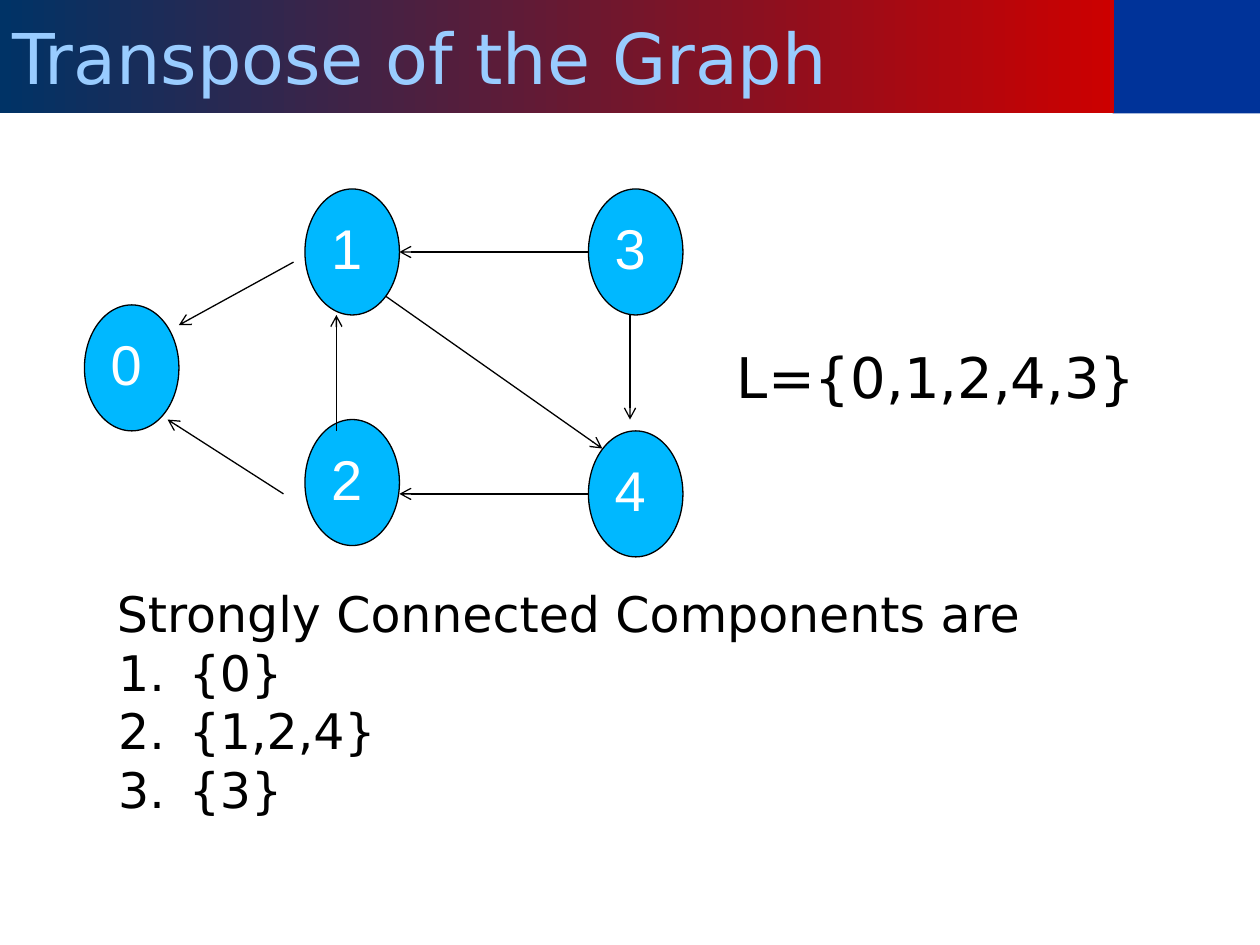
from lxml.etree import SubElement
from pptx import Presentation
from pptx.dml.color import RGBColor
from pptx.enum.shapes import MSO_CONNECTOR as Connector, MSO_SHAPE as Shape
from pptx.enum.text import MSO_ANCHOR as Anchor, MSO_AUTO_SIZE as AutoSize, PP_ALIGN as Align
from pptx.oxml.ns import qn
from pptx.util import Inches, Pt

COLORS = {
    "banner_start": "003366",
    "banner_end": "CC0000",
    "corner": "003399",
    "title": "99CCFF",
    "node": "00B8FF",
    "digit": "FFFFFF",
    "ink": "000000",
}
NODES = {"4": (4.67, 3.42), "3": (4.67, 1.5), "2": (2.42, 3.33), "1": (2.42, 1.5), "0": (0.67, 2.42)}
EDGES = [
    ((5, 2.5), (5, 3.33)),
    ((4.67, 2), (3.17, 2)),
    ((2.67, 3.42), (2.67, 2.5)),
    ((4.67, 3.92), (3.17, 3.92)),
    ((2.33, 2.08), (1.42, 2.58)),
    ((2.25, 3.92), (1.33, 3.33)),
    ((3.06, 2.35), (4.78, 3.56)),
]
COMPONENTS = ["{0}", "{1,2,4}", "{3}"]


class GraphSlide:
    """Draws the parts of a graph slide in one shared style."""

    def __init__(self, slide, heading_font="DejaVu Sans", node_font="Arial"):
        self.slide = slide
        self.heading_font = heading_font
        self.node_font = node_font

    def color(self, key):
        return RGBColor.from_string(COLORS[key])

    def set_text(self, paragraph, text, size, font, color):
        paragraph.text = text
        paragraph.alignment = Align.LEFT
        paragraph.font.size = Pt(size)
        paragraph.font.name = font
        paragraph.font.color.rgb = self.color(color)

    def shape(self, kind, box, fill=None):
        part = self.slide.shapes.add_shape(kind, *map(Inches, box))
        part.shadow.inherit = False
        part.line.fill.background()
        if fill:
            part.fill.solid()
            part.fill.fore_color.rgb = self.color(fill)
        return part

    def banner(self, title):
        self.shape(Shape.RECTANGLE, (8.83, 0, 1.17, 0.9), "corner")
        banner = self.shape(Shape.RECTANGLE, (0, 0, 8.84, 0.9))
        banner.fill.gradient()
        banner.fill.gradient_angle = 0
        for stop, key in zip(banner.fill.gradient_stops, ("banner_start", "banner_end")):
            stop.color.rgb = self.color(key)
        banner.text_frame.vertical_anchor = Anchor.MIDDLE
        self.set_text(banner.text_frame.paragraphs[0], title, 40, self.heading_font, "title")

    def node(self, label, left, top):
        node = self.shape(Shape.OVAL, (left, top, 0.75, 1), "node")
        node.line.color.rgb = self.color("ink")
        node.line.width = Pt(0.75)
        node.text_frame.vertical_anchor = Anchor.TOP
        self.set_text(node.text_frame.paragraphs[0], label, 32, self.node_font, "digit")

    def edge(self, start, end):
        edge = self.slide.shapes.add_connector(Connector.STRAIGHT, *map(Inches, start + end))
        edge.line.color.rgb = self.color("ink")
        edge.line.width = Pt(0.75)
        outline = edge._element.spPr.find(qn("a:ln"))
        SubElement(outline, qn("a:tailEnd"), type="arrow")
        SubElement(edge._element.spPr, qn("a:effectLst"))

    def text(self, box, lines, size, wrap=True):
        frame = self.slide.shapes.add_textbox(*map(Inches, box)).text_frame
        frame.word_wrap = wrap
        frame.auto_size = AutoSize.SHAPE_TO_FIT_TEXT
        for index, line in enumerate(lines):
            paragraph = frame.add_paragraph() if index else frame.paragraphs[0]
            self.set_text(paragraph, line, size, self.heading_font, "ink")
        return frame

    def numbered_list(self, box, heading, items, size):
        frame = self.text(box, [heading, *items], size)
        for paragraph in frame.paragraphs[1:]:
            properties = paragraph._p.get_or_add_pPr()
            properties.set("marL", str(Inches(0.57)))
            properties.set("indent", str(Inches(-0.56)))
            numbering = properties.makeelement(qn("a:buAutoNum"), {"type": "arabicPeriod"})
            properties.insert(0, numbering)


def main():
    deck = Presentation()
    deck.slide_width, deck.slide_height = Inches(10), Inches(7.5)
    graph = GraphSlide(deck.slides.add_slide(deck.slide_layouts[6]))
    graph.banner("Transpose of the Graph")
    for label, (left, top) in NODES.items():
        graph.node(label, left, top)
    for start, end in EDGES:
        graph.edge(start, end)
    graph.text((5.75, 2.67, 3.47, 0.64), ["L={0,1,2,4,3}"], 32, wrap=False)
    graph.numbered_list((0.83, 4.58, 8.5, 1.99), "Strongly Connected Components are", COMPONENTS, 28)
    deck.save("out.pptx")


if __name__ == "__main__":
    main()
